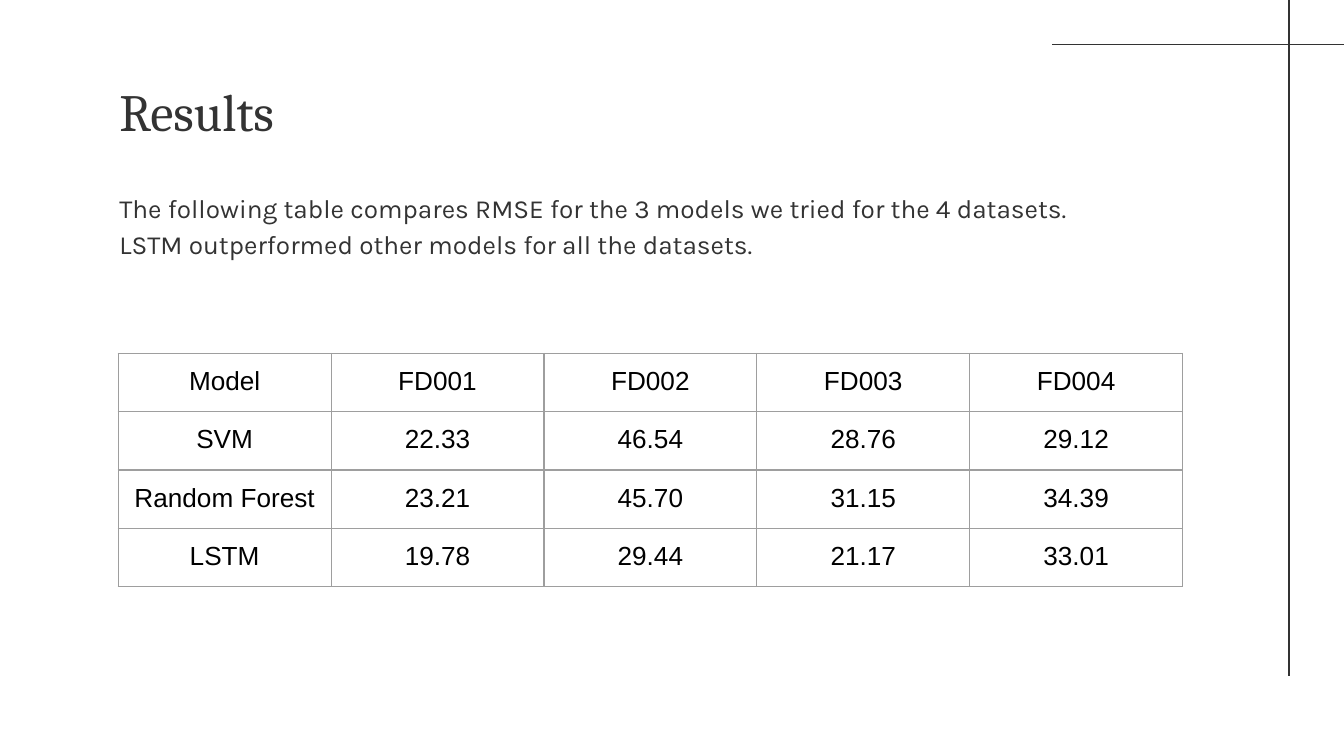
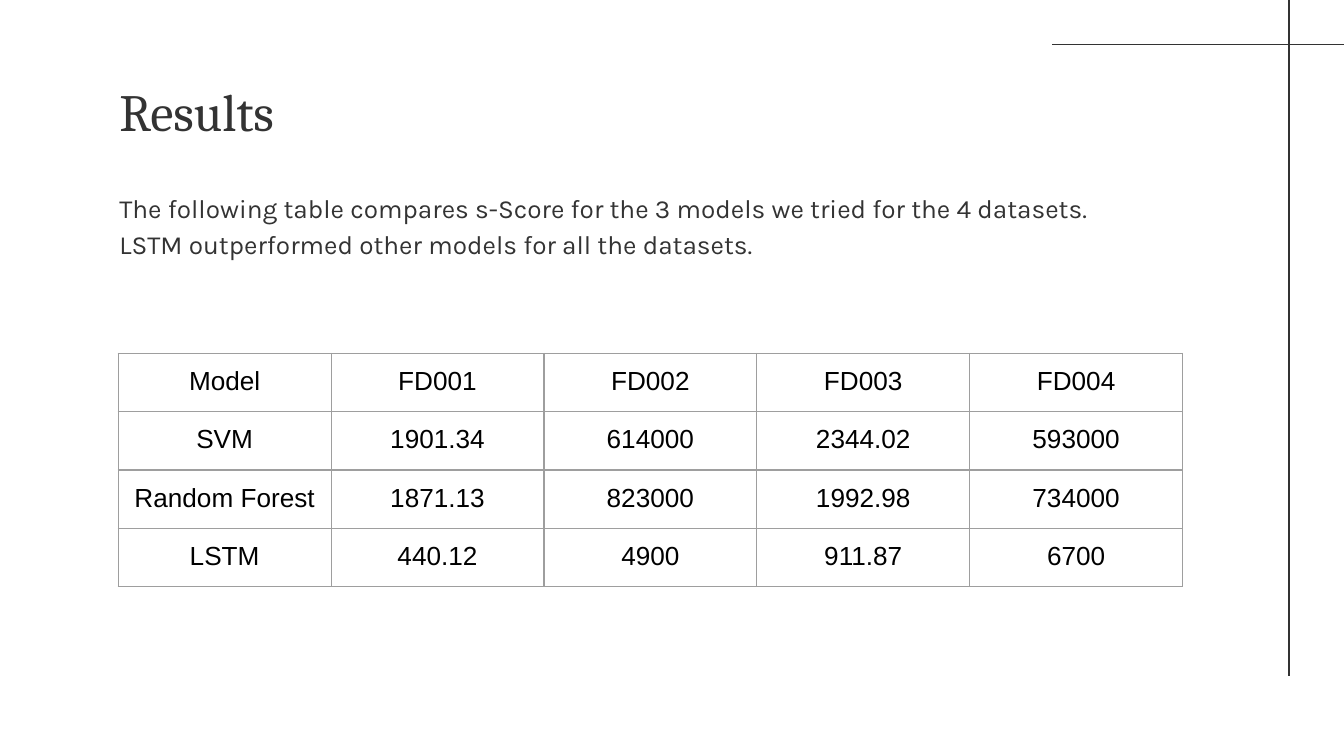
from lxml import etree
from pptx import Presentation
from pptx.dml.color import RGBColor
from pptx.enum.shapes import MSO_CONNECTOR
from pptx.enum.text import MSO_ANCHOR, PP_ALIGN
from pptx.oxml.ns import qn
from pptx.util import Inches, Pt

STRAIGHT = MSO_CONNECTOR.STRAIGHT
TOP = MSO_ANCHOR.TOP
LEFT, CENTER = PP_ALIGN.LEFT, PP_ALIGN.CENTER

INK, BLACK, WHITE, GRID = "333333", "000000", "FFFFFF", "9E9E9E"
TITLE_FONT, BODY_FONT, TABLE_FONT = "Cambria", "Karla", "Arial"
RULE_WIDTH = Pt(0.75)
INSET = Inches(0.1)

# Boxes are left, top, width, height in inches.
TITLE_BOX = (0.79, 0.49, 8.43, 0.63)
BODY_BOX = (0.79, 1.3, 8.43, 3.94)
TABLE_BOX = (0.88, 2.63, 3.28, 3.28)
# The grid keeps its own size inside the table's frame.
GRID_WIDTH, GRID_HEIGHT = Inches(7.92), Inches(1.67)
# Rules are start x, start y, end x, end y in inches.
CORNER_RULES = [(7.83, 0.33, 10.1, 0.33), (9.59, 5.03, 9.59, -0.03)]

HEADER = ["Model", "FD001", "FD002", "FD003", "FD004"]
RESULTS = [
    ("RMSE", [
        ["SVM", "22.33", "46.54", "28.76", "29.12"],
        ["Random Forest", "23.21", "45.70", "31.15", "34.39"],
        ["LSTM", "19.78", "29.44", "21.17", "33.01"],
    ]),
    ("s-Score", [
        ["SVM", "1901.34", "614000", "2344.02", "593000"],
        ["Random Forest", "1871.13", "823000", "1992.98", "734000"],
        ["LSTM", "440.12", "4900", "911.87", "6700"],
    ]),
]


def color(value):
    return RGBColor.from_string(value)


def write_text(frame, text, *, font, size, ink=INK, align=LEFT, spacing=1.0):
    """Fill a text frame, one paragraph for each line of text."""
    for index, line in enumerate(text.split("\n")):
        para = frame.add_paragraph() if index else frame.paragraphs[0]
        para.alignment = align
        para.line_spacing = spacing
        span = para.add_run()
        span.text = line
        span.font.name = font
        span.font.size = Pt(size)
        span.font.bold = False
        span.font.color.rgb = color(ink)


def set_insets(target):
    target.margin_left = target.margin_right = INSET
    target.margin_top = target.margin_bottom = INSET


def add_text(page, box, text, **style):
    frame = page.shapes.add_textbox(*map(Inches, box)).text_frame
    frame.word_wrap = True
    frame.vertical_anchor = TOP
    set_insets(frame)
    write_text(frame, text, **style)


def add_corner_rules(page):
    for ends in CORNER_RULES:
        rule = page.shapes.add_connector(STRAIGHT, *map(Inches, ends))
        rule.line.color.rgb = color(INK)
        rule.line.width = RULE_WIDTH
        etree.SubElement(rule._element.spPr, qn("a:effectLst"))


def add_borders(cell):
    properties = cell._tc.get_or_add_tcPr()
    for side in ("lnL", "lnR", "lnT", "lnB"):
        border = etree.SubElement(properties, qn(f"a:{side}"), w=str(int(RULE_WIDTH)))
        fill = etree.SubElement(border, qn("a:solidFill"))
        etree.SubElement(fill, qn("a:srgbClr"), val=GRID)


def add_results_table(page, box, rows):
    left, top, width, height = map(Inches, box)
    holder = page.shapes.add_table(len(rows), len(rows[0]), left, top, width, height)
    table = holder.table
    table.first_row = table.horz_banding = False
    for column in table.columns:
        column.width = GRID_WIDTH // len(table.columns)
    for row in table.rows:
        row.height = GRID_HEIGHT // len(table.rows)
    holder.width, holder.height = width, height
    for row_index, values in enumerate(rows):
        for column_index, value in enumerate(values):
            cell = table.cell(row_index, column_index)
            set_insets(cell)
            add_borders(cell)
            cell.fill.background()
            write_text(cell.text_frame, value, font=TABLE_FONT, size=14,
                       ink=BLACK, align=CENTER)


def add_results_slide(deck, metric, rows):
    page = deck.slides.add_slide(deck.slide_layouts[6])
    page.background.fill.solid()
    page.background.fill.fore_color.rgb = color(WHITE)
    add_corner_rules(page)
    add_text(page, TITLE_BOX, "Results", font=TITLE_FONT, size=28)
    add_text(
        page, BODY_BOX,
        f"The following table compares {metric} for the 3 models we tried for the 4 datasets.\n"
        "LSTM outperformed other models for all the datasets.",
        font=BODY_FONT, size=14, spacing=1.15)
    add_results_table(page, TABLE_BOX, [HEADER] + rows)


def main():
    deck = Presentation()
    deck.slide_width = Inches(10)
    deck.slide_height = deck.slide_width * 9 // 16
    for metric, rows in RESULTS:
        add_results_slide(deck, metric, rows)
    deck.save("out.pptx")


if __name__ == "__main__":
    main()
